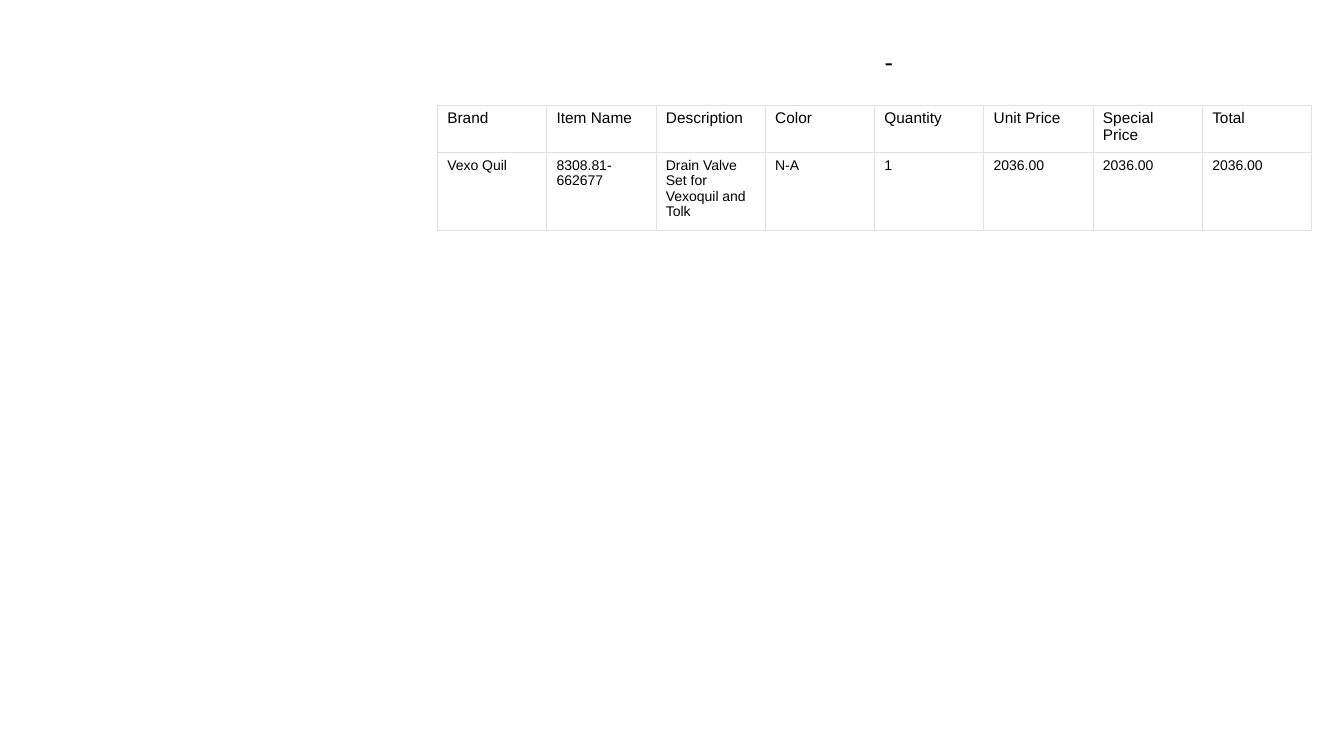
from dataclasses import dataclass

from lxml import etree
from pptx import Presentation
from pptx.dml.color import RGBColor
from pptx.enum.text import MSO_ANCHOR, MSO_AUTO_SIZE, PP_ALIGN
from pptx.oxml.ns import qn
from pptx.util import Pt

LEFT = PP_ALIGN.LEFT
TOP, MIDDLE = MSO_ANCHOR.TOP, MSO_ANCHOR.MIDDLE
NO_AUTOFIT = MSO_AUTO_SIZE.NONE
TITLE_ONLY = 5


@dataclass(frozen=True)
class Theme:
    font: str = "Arial"
    text: str = "000000"
    border: str = "E0E0E0"
    border_width: float = 0.45
    title_size: int = 18
    header_size: int = 11
    body_size: int = 10
    inset_x: float = 7.2
    inset_y: float = 3.6


@dataclass(frozen=True)
class Box:
    left: float
    top: float
    width: float
    height: float

    def lengths(self):
        return [Pt(value) for value in (self.left, self.top, self.width, self.height)]


THEME = Theme()
PAGE_WIDTH, PAGE_HEIGHT = 960.48, 540
TITLE_BOX = Box(624.96, 12.24, 125.28, 62.64)
TABLE_BOX = Box(312.48, 74.88, 624.96, 89.64)
HEADER_HEIGHT = 34

ITEMS = [
    ["Brand", "Item Name", "Description", "Color",
     "Quantity", "Unit Price", "Special Price", "Total"],
    ["Vexo Quil", "8308.81-662677", "Drain Valve Set for Vexoquil and Tolk", "N-A",
     "1", "2036.00", "2036.00", "2036.00"],
]


def set_all(target, values):
    for name, value in values.items():
        setattr(target, name, value)


def write(frame, text, size):
    """Put one left-aligned paragraph of theme text into a text frame."""
    frame.text = text
    para = frame.paragraphs[0]
    para.alignment = LEFT
    set_all(para.font, {"name": THEME.font, "size": Pt(size), "bold": False})
    para.font.color.rgb = RGBColor.from_string(THEME.text)


def insets():
    x, y = Pt(THEME.inset_x), Pt(THEME.inset_y)
    return {"margin_left": x, "margin_right": x, "margin_top": y, "margin_bottom": y}


def outline_cell(cell):
    properties = cell._tc.get_or_add_tcPr()
    for index, side in enumerate(("a:lnL", "a:lnR", "a:lnT", "a:lnB")):
        line = etree.Element(qn(side), w=str(Pt(THEME.border_width)))
        fill = etree.SubElement(line, qn("a:solidFill"))
        etree.SubElement(fill, qn("a:srgbClr"), val=THEME.border)
        properties.insert(index, line)


def place_title(page, box, text):
    title = page.shapes.title
    title.left, title.top, title.width, title.height = box.lengths()
    set_all(title.text_frame, {
        **insets(), "word_wrap": True,
        "auto_size": NO_AUTOFIT, "vertical_anchor": MIDDLE,
    })
    write(title.text_frame, text, THEME.title_size)


def place_item_table(page, box, rows):
    """Draw equal columns, a header row, and item rows sharing the rest of the box."""
    column_count = len(rows[0])
    table = page.shapes.add_table(len(rows), column_count, *box.lengths()).table
    set_all(table, {"first_row": False, "horz_banding": False})
    for column in table.columns:
        column.width = Pt(box.width / column_count)
    item_height = (box.height - HEADER_HEIGHT) / (len(rows) - 1)
    for index, values in enumerate(rows):
        is_header = index == 0
        table.rows[index].height = Pt(HEADER_HEIGHT if is_header else item_height)
        size = THEME.header_size if is_header else THEME.body_size
        for cell, value in zip(table.rows[index].cells, values):
            set_all(cell, {**insets(), "vertical_anchor": TOP})
            cell.fill.background()
            outline_cell(cell)
            write(cell.text_frame, value, size)


def main():
    deck = Presentation()
    set_all(deck, {"slide_width": Pt(PAGE_WIDTH), "slide_height": Pt(PAGE_HEIGHT)})
    page = deck.slides.add_slide(deck.slide_layouts[TITLE_ONLY])
    place_title(page, TITLE_BOX, "-")
    place_item_table(page, TABLE_BOX, ITEMS)
    deck.save("out.pptx")


if __name__ == "__main__":
    main()
